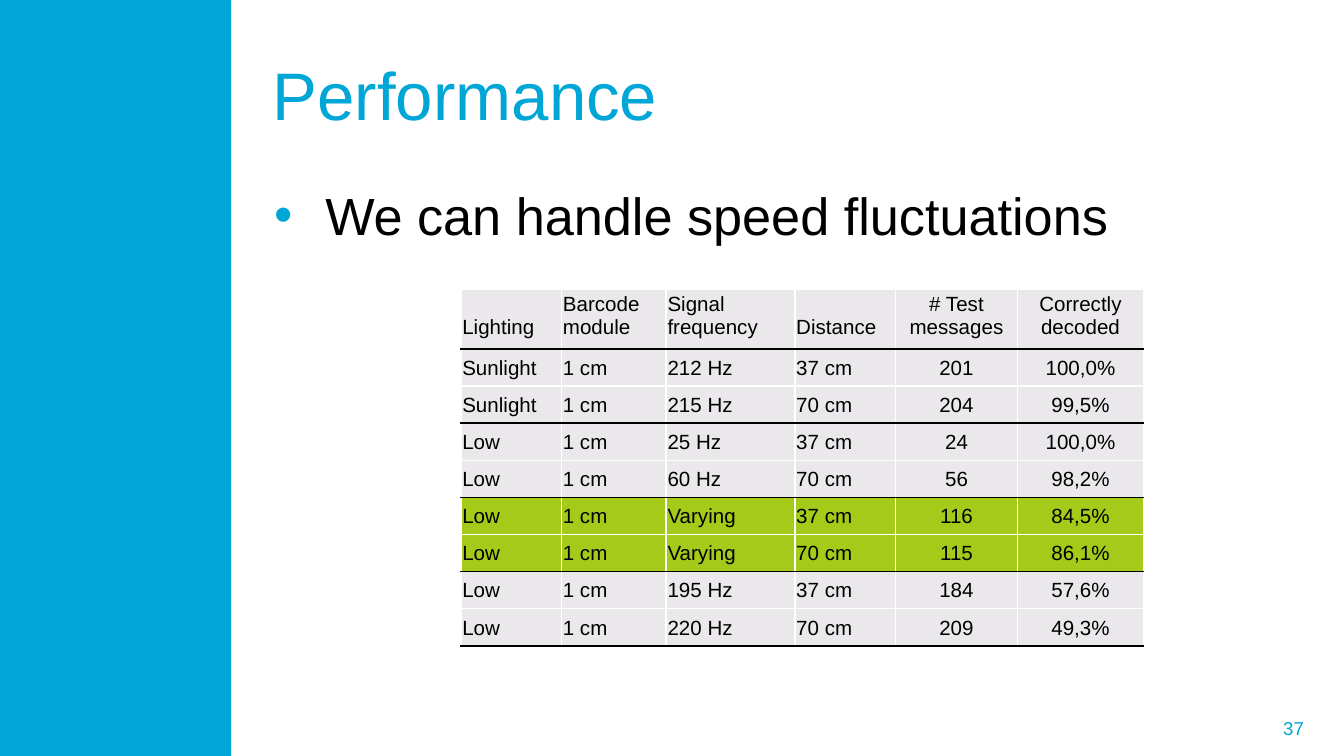
from lxml import etree
from pptx import Presentation
from pptx.dml.color import RGBColor
from pptx.enum.shapes import MSO_SHAPE
from pptx.enum.text import MSO_ANCHOR, MSO_AUTO_SIZE, PP_ALIGN
from pptx.oxml.ns import qn
from pptx.util import Inches, Pt

RECTANGLE = MSO_SHAPE.RECTANGLE
TOP, MIDDLE, BOTTOM = MSO_ANCHOR.TOP, MSO_ANCHOR.MIDDLE, MSO_ANCHOR.BOTTOM
LEFT, CENTER, RIGHT = PP_ALIGN.LEFT, PP_ALIGN.CENTER, PP_ALIGN.RIGHT
NO_AUTOFIT = MSO_AUTO_SIZE.NONE

CYAN = RGBColor(0x00, 0xA6, 0xD6)
BLACK = RGBColor(0x00, 0x00, 0x00)
WHITE = RGBColor(0xFF, 0xFF, 0xFF)
GREY = RGBColor(0xEB, 0xE8, 0xEC)
GREEN = RGBColor(0xA5, 0xCA, 0x1A)
FONT = "Arial"

PAGE_WIDTH = 10
PAGE_HEIGHT = PAGE_WIDTH * 9 / 16
COLUMN_WIDTHS = [0.75, 0.78, 0.96, 0.75, 0.91, 0.94]
HEADER_HEIGHT = 0.43
FIRST_CENTERED_COLUMN = 4
HEADINGS = ["Lighting", "Barcode module", "Signal frequency", "Distance",
            "# Test messages", "Correctly decoded"]
MEASUREMENTS = [
    ["Sunlight", "1 cm", "212 Hz", "37 cm", "201", "100,0%"],
    ["Sunlight", "1 cm", "215 Hz", "70 cm", "204", "99,5%"],
    ["Low", "1 cm", "25 Hz", "37 cm", "24", "100,0%"],
    ["Low", "1 cm", "60 Hz", "70 cm", "56", "98,2%"],
    ["Low", "1 cm", "Varying", "37 cm", "116", "84,5%"],
    ["Low", "1 cm", "Varying", "70 cm", "115", "86,1%"],
    ["Low", "1 cm", "195 Hz", "37 cm", "184", "57,6%"],
    ["Low", "1 cm", "220 Hz", "70 cm", "209", "49,3%"],
]


def write(frame, text, size, color, align=LEFT):
    """Set the single paragraph of a text frame and return it."""
    frame.text = text
    para = frame.paragraphs[0]
    para.alignment = align
    font = para.runs[0].font
    font.name, font.size, font.color.rgb = FONT, Pt(size), color
    return para


def place(shape, box):
    shape.left, shape.top, shape.width, shape.height = map(Inches, box)


def add_side_band(page, box):
    band = page.shapes.add_shape(RECTANGLE, *map(Inches, box))
    band.shadow.inherit = False
    band.fill.solid()
    band.fill.fore_color.rgb = CYAN
    band.line.fill.background()


def add_page_number(page, box):
    frame = page.shapes.add_textbox(*map(Inches, box)).text_frame
    frame.word_wrap = True
    frame.vertical_anchor = MIDDLE
    write(frame, "37", 10, CYAN, RIGHT)


def fill_title(page, box):
    title = page.shapes.title
    place(title, box)
    frame = title.text_frame
    frame.auto_size = NO_AUTOFIT
    frame.vertical_anchor = MIDDLE
    write(frame, "Performance", 36, CYAN)


def fill_body(page, box):
    body = page.placeholders[1]
    place(body, box)
    frame = body.text_frame
    frame.auto_size = NO_AUTOFIT
    frame.vertical_anchor = TOP
    para = write(frame, "We can handle speed fluctuations", 28, BLACK)
    para.space_before = Pt(0)
    properties = para._p.get_or_add_pPr()
    properties.set("marL", str(Inches(0.38)))
    properties.set("indent", str(-Inches(0.38)))
    bullet_color = etree.SubElement(properties, qn("a:buClr"))
    etree.SubElement(bullet_color, qn("a:srgbClr"), val=str(CYAN))
    etree.SubElement(properties, qn("a:buFont"), typeface=FONT)
    etree.SubElement(properties, qn("a:buChar"), char="•")


def set_borders(cell, top, bottom):
    """Draw white sides and the given top and bottom colours, 1 pt wide."""
    properties = cell._tc.get_or_add_tcPr()
    sides = [("L", WHITE), ("R", WHITE), ("T", top), ("B", bottom)]
    for position, (side, color) in enumerate(sides):
        line = etree.Element(qn(f"a:ln{side}"), w=str(Pt(1)))
        fill = etree.SubElement(line, qn("a:solidFill"))
        etree.SubElement(fill, qn("a:srgbClr"), val=str(color))
        properties.insert(position, line)


def fill_cell(cell, text, row, column):
    is_header = row == 0
    cell.margin_left = cell.margin_right = Inches(0.01)
    cell.margin_top = Inches(0 if is_header else 0.01)
    cell.margin_bottom = Inches(0.08 if is_header else 0)
    cell.vertical_anchor = BOTTOM if is_header else MIDDLE
    align = CENTER if column >= FIRST_CENTERED_COLUMN else LEFT
    write(cell.text_frame, text, 11, BLACK, align)
    cell.fill.solid()
    is_varying = not is_header and MEASUREMENTS[row - 1][2] == "Varying"
    cell.fill.fore_color.rgb = GREEN if is_varying else GREY
    # Black rules follow the header and every pair of measurements.
    top, bottom = (BLACK, WHITE) if row % 2 else (WHITE, BLACK)
    set_borders(cell, top, bottom)


def add_results_table(page, box):
    rows = [HEADINGS] + MEASUREMENTS
    row_height = (box[3] - HEADER_HEIGHT) / len(MEASUREMENTS)
    table = page.shapes.add_table(
        len(rows), len(HEADINGS), *map(Inches, box)).table
    table.first_row = table.horz_banding = False
    for column, share in zip(table.columns, COLUMN_WIDTHS):
        column.width = Inches(box[2] * share / sum(COLUMN_WIDTHS))
    for row, texts in enumerate(rows):
        table.rows[row].height = Inches(row_height if row else HEADER_HEIGHT)
        for column, text in enumerate(texts):
            fill_cell(table.cell(row, column), text, row, column)


def main():
    deck = Presentation()
    deck.slide_width, deck.slide_height = Inches(PAGE_WIDTH), Inches(PAGE_HEIGHT)
    page = deck.slides.add_slide(deck.slide_layouts[1])
    add_side_band(page, (0, 0, 1.72, PAGE_HEIGHT))
    add_page_number(page, (7.27, 5.27, 2.53, 0.3))
    fill_title(page, (1.93, 0.23, 7.77, 0.94))
    fill_body(page, (1.94, 1.31, 7.75, 3.95))
    add_results_table(page, (3.43, 2.15, 5.08, 2.64))
    deck.save("out.pptx")


if __name__ == "__main__":
    main()
